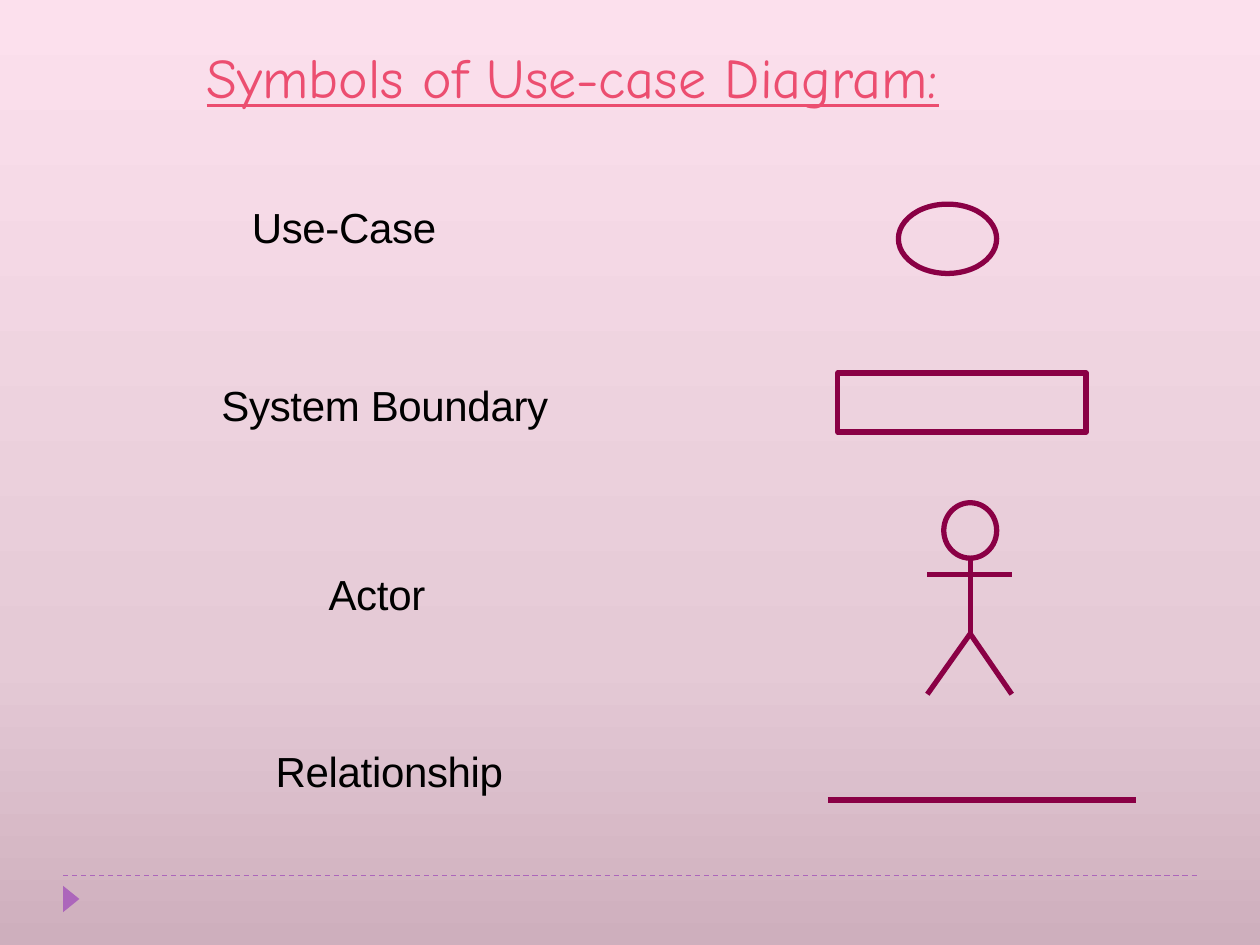
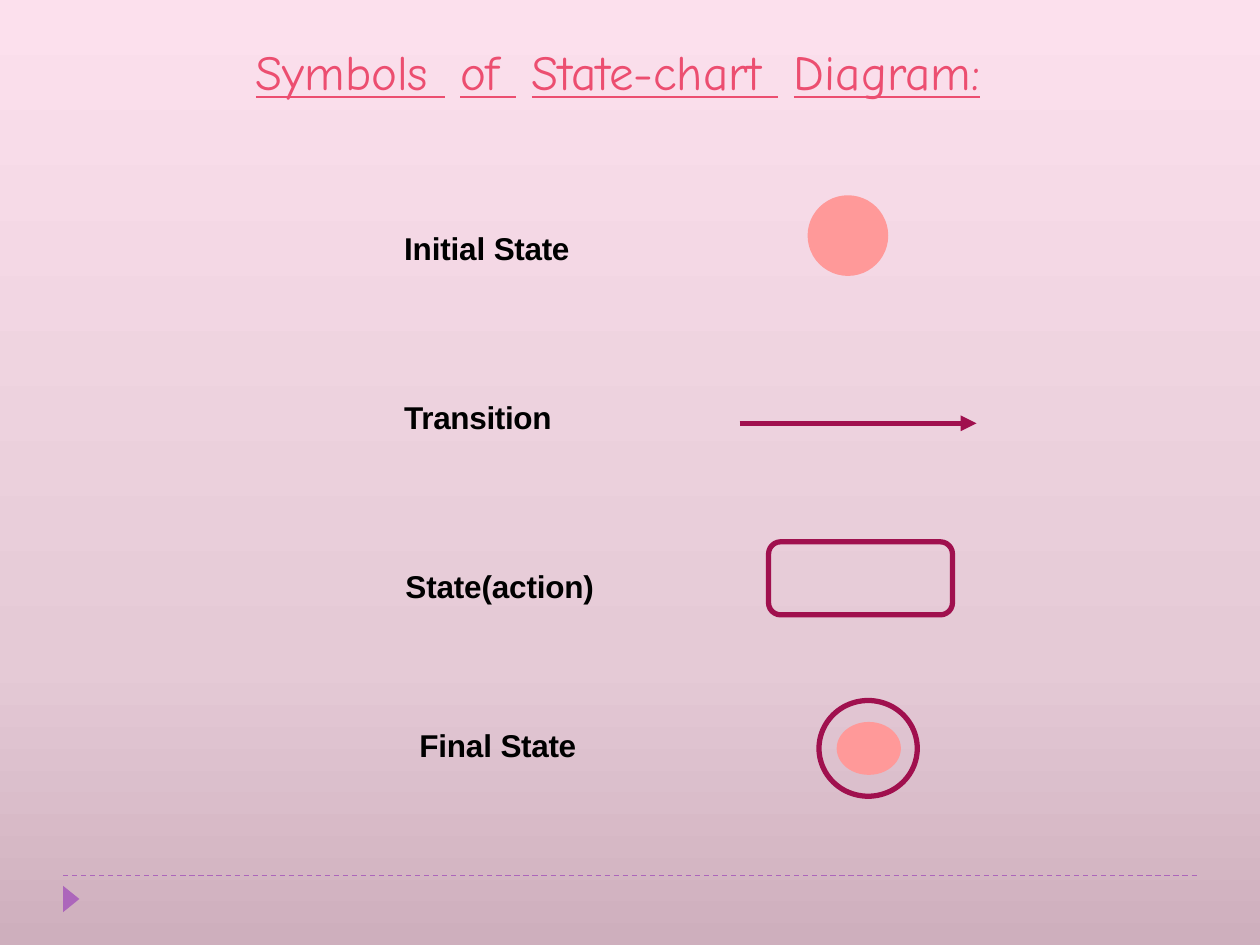
from lxml import etree
from pptx import Presentation
from pptx.dml.color import RGBColor
from pptx.enum.dml import MSO_LINE
from pptx.enum.shapes import MSO_CONNECTOR, MSO_SHAPE
from pptx.enum.text import MSO_ANCHOR, MSO_AUTO_SIZE, PP_ALIGN
from pptx.oxml.ns import qn
from pptx.util import Inches, Pt

STRAIGHT = MSO_CONNECTOR.STRAIGHT
OVAL = MSO_SHAPE.OVAL
RECTANGLE = MSO_SHAPE.RECTANGLE
ROUNDED = MSO_SHAPE.ROUNDED_RECTANGLE
TRIANGLE = MSO_SHAPE.ISOSCELES_TRIANGLE
DASH = MSO_LINE.DASH
TOP = MSO_ANCHOR.TOP
LEFT = PP_ALIGN.LEFT
NO_AUTOFIT = MSO_AUTO_SIZE.NONE

BLACK = RGBColor(0x00, 0x00, 0x00)
TITLE_PINK = RGBColor(0xEC, 0x4E, 0x70)
FOOTER_PURPLE = RGBColor(0xAC, 0x66, 0xBB)
USE_CASE_WINE = RGBColor(0x8A, 0x00, 0x45)
STATE_WINE = RGBColor(0xA0, 0x10, 0x4E)
STATE_SALMON = RGBColor(0xFF, 0x99, 0x99)
BACKGROUND_STOPS = [
    (0, RGBColor(0xCE, 0xAF, 0xBD)),
    (30, RGBColor(0xE5, 0xCA, 0xD6)),
    (100, RGBColor(0xFC, 0xE0, 0xED)),
]
TITLE_FONT = "Comic Neue"
LABEL_FONT = "Arial"
SYMBOL_WEIGHT = 3


def paint_background(master):
    fill = master.background.fill
    fill.gradient()
    fill.gradient_angle = 90
    stops = master.element.find(".//" + qn("p:bgPr")).find(".//" + qn("a:gsLst"))
    for stop in list(stops):
        stops.remove(stop)
    for percent, color in BACKGROUND_STOPS:
        stop = etree.SubElement(stops, qn("a:gs"), pos=str(percent * 1000))
        etree.SubElement(stop, qn("a:srgbClr"), val=str(color))


def add_line(slide, start, end, color, weight=SYMBOL_WEIGHT, arrow=False):
    line = slide.shapes.add_connector(STRAIGHT, *map(Inches, start + end))
    line.line.color.rgb = color
    line.line.width = Pt(weight)
    properties = line.element.spPr
    if arrow:
        outline = properties.find(qn("a:ln"))
        etree.SubElement(outline, qn("a:tailEnd"), type="triangle")
    etree.SubElement(properties, qn("a:effectLst"))
    return line


def add_symbol(slide, kind, box, outline=None, fill=None):
    symbol = slide.shapes.add_shape(kind, *map(Inches, box))
    symbol.shadow.inherit = False
    if fill is None:
        symbol.fill.background()
    else:
        symbol.fill.solid()
        symbol.fill.fore_color.rgb = fill
    if outline is None:
        symbol.line.fill.background()
    else:
        symbol.line.color.rgb = outline
        symbol.line.width = Pt(SYMBOL_WEIGHT)
    return symbol


def move_footer_to_layout(slide, layout):
    rule = add_line(slide, (0.5, 6.95), (9.5, 6.95), FOOTER_PURPLE, 0.75)
    rule.line.dash_style = DASH
    marker = add_symbol(slide, TRIANGLE, (0.46, 7.07, 0.21, 0.13), fill=FOOTER_PURPLE)
    marker.rotation = 90
    for part in (rule, marker):
        layout.shapes.element.append(part.element)


def write_runs(frame, runs, font_name, size, color, bold=False, underline=False):
    frame.word_wrap = True
    frame.auto_size = NO_AUTOFIT
    frame.vertical_anchor = TOP
    frame.margin_right = 0
    paragraph = frame.paragraphs[0]
    paragraph.alignment = LEFT
    for text, spacing in runs:
        run = paragraph.add_run()
        run.text = text
        font = run.font
        font.name = font_name
        font.size = Pt(size)
        font.bold = bold
        font.underline = underline
        font.color.rgb = color
        run.font._element.set("spc", str(round(spacing * 100)))


def set_title(slide, box, text, size, word_gap=0):
    title = slide.shapes.title
    title.left, title.top, title.width, title.height = map(Inches, box)
    runs = []
    for word in text.split():
        if runs:
            runs.append((" ", word_gap))
        runs.append((word, 0))
    write_runs(title.text_frame, runs, TITLE_FONT, size, TITLE_PINK, underline=True)


def add_label(slide, box, runs, size, bold=False):
    label = slide.shapes.add_textbox(*map(Inches, box))
    write_runs(label.text_frame, runs, LABEL_FONT, size, BLACK, bold)


def add_actor(slide):
    center, shoulder, hip, foot = 7.7, 4.56, 5.03, 5.51
    left_reach, right_reach = 7.36, 8.03
    limbs = [
        ((left_reach, shoulder), (right_reach, shoulder)),
        ((center, 4.44), (center, hip)),
        ((center, hip), (left_reach, foot)),
        ((center, hip), (right_reach, foot)),
    ]
    for start, end in limbs:
        add_line(slide, start, end, USE_CASE_WINE)
    add_symbol(slide, OVAL, (7.49, 3.99, 0.42, 0.44), USE_CASE_WINE)


def build_use_case_symbols(slide):
    set_title(slide, (1.54, 0.29, 6.73, 0.94), "Symbols of Use-case Diagram:", 32)
    labels = [
        ("Use-Case", 1.9, 1.55, 1.68),
        ("System Boundary", 1.66, 2.96, 2.83),
        ("Actor", 2.51, 4.46, 1.06),
        ("Relationship", 2.09, 5.87, 2.04),
    ]
    for text, left, top, width in labels:
        add_label(slide, (left, top, width, 0.5), [(text, -0.2)], 24)
    add_symbol(slide, OVAL, (7.13, 1.62, 0.78, 0.55), USE_CASE_WINE)
    add_symbol(slide, RECTANGLE, (6.65, 2.96, 1.97, 0.47), USE_CASE_WINE)
    add_actor(slide)
    add_line(slide, (6.57, 6.35), (9.02, 6.35), USE_CASE_WINE)


def build_state_chart_symbols(slide):
    set_title(slide, (1.93, 0.28, 6.78, 0.57),
              "Symbols of State-chart Diagram:", 28, word_gap=9)
    labels = [
        ([("Initial ", -0.1), ("State", -0.2)], 3.11, 1.77, 1.53),
        ([("Transition", -0.2)], 3.11, 3.11, 1.42),
        ([("State(action)", -0.1)], 3.12, 4.45, 1.73),
        ([("Final ", -0.1), ("State", -0.2)], 3.23, 5.71, 1.46),
    ]
    for runs, left, top, width in labels:
        add_label(slide, (left, top, width, 0.4), runs, 18, bold=True)
    add_symbol(slide, OVAL, (6.41, 1.55, 0.64, 0.64), fill=STATE_SALMON)
    add_line(slide, (5.87, 3.36), (7.75, 3.36), STATE_WINE, arrow=True)
    add_symbol(slide, ROUNDED, (6.1, 4.3, 1.46, 0.58), STATE_WINE)
    add_symbol(slide, OVAL, (6.5, 5.56, 0.78, 0.76), STATE_WINE)
    add_symbol(slide, OVAL, (6.64, 5.73, 0.51, 0.42), fill=STATE_SALMON)


def main():
    presentation = Presentation()
    presentation.slide_width = Inches(10)
    presentation.slide_height = Inches(7.5)
    paint_background(presentation.slide_master)
    layout = presentation.slide_layouts[5]
    use_case_slide = presentation.slides.add_slide(layout)
    state_chart_slide = presentation.slides.add_slide(layout)
    move_footer_to_layout(use_case_slide, layout)
    build_use_case_symbols(use_case_slide)
    build_state_chart_symbols(state_chart_slide)
    presentation.save("out.pptx")


if __name__ == "__main__":
    main()
